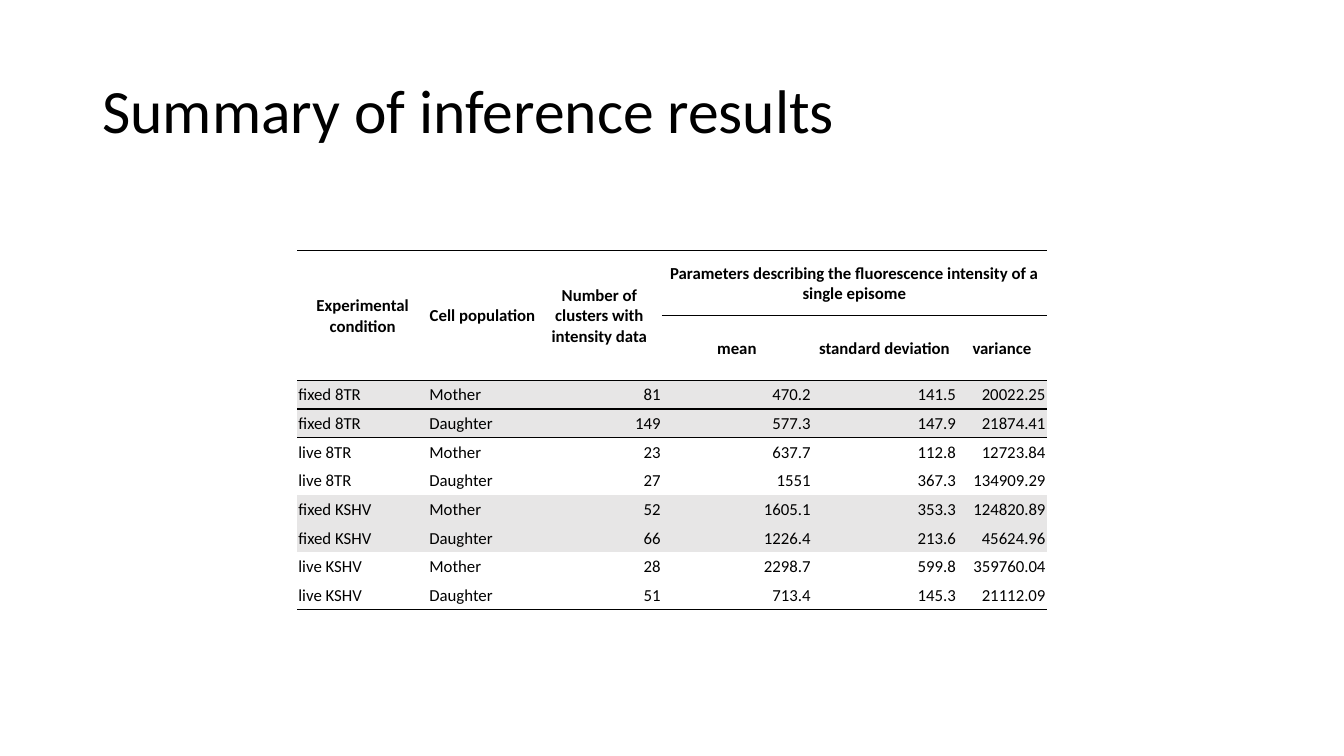
from lxml import etree
from pptx import Presentation
from pptx.dml.color import RGBColor
from pptx.enum.text import MSO_ANCHOR, PP_ALIGN
from pptx.oxml.ns import qn
from pptx.util import Cm, Pt

MIDDLE = MSO_ANCHOR.MIDDLE
LEFT, CENTER, RIGHT = PP_ALIGN.LEFT, PP_ALIGN.CENTER, PP_ALIGN.RIGHT

COLORS = {"text": "000000", "rule": "000000", "band": "E7E6E6"}
FONT = "Calibri"
PLAIN_TABLE_STYLE = "{2D5ABB26-0587-4C30-8999-92F81FD0307C}"

TITLE_BOX = (2.33, 1.02, 29.21, 3.68)
TABLE_BOX = (7.49, 6.32, 18.89, 9.04)
COLUMN_WIDTHS = (3.3, 2.74, 3.15, 3.78, 3.66, 2.26)
HEADER_HEIGHT = 1.63
HEADER_ROWS = 2
SPANNED_COLUMNS = 3
THIN, THICK = 1, 1.5

ROWS = [
    ("Experimental condition", "Cell population",
     "Number of clusters with intensity data",
     "Parameters describing the fluorescence intensity of a single episome", "", ""),
    ("", "", "", "mean", "standard deviation", "variance"),
    ("fixed 8TR", "Mother", "81", "470.2", "141.5", "20022.25"),
    ("fixed 8TR", "Daughter", "149", "577.3", "147.9", "21874.41"),
    ("live 8TR", "Mother", "23", "637.7", "112.8", "12723.84"),
    ("live 8TR", "Daughter", "27", "1551", "367.3", "134909.29"),
    ("fixed KSHV", "Mother", "52", "1605.1", "353.3", "124820.89"),
    ("fixed KSHV", "Daughter", "66", "1226.4", "213.6", "45624.96"),
    ("live KSHV", "Mother", "28", "2298.7", "599.8", "359760.04"),
    ("live KSHV", "Daughter", "51", "713.4", "145.3", "21112.09"),
]


def add_run(paragraph, text, size, bold=False):
    run = paragraph.add_run()
    run.text = text
    run.font.name = FONT
    run.font.size = Pt(size)
    run.font.bold = bold
    run.font.color.rgb = RGBColor.from_string(COLORS["text"])


def add_title(slide, box):
    shape = slide.shapes.add_textbox(*map(Cm, box))
    frame = shape.text_frame
    frame.word_wrap = True
    frame.vertical_anchor = MIDDLE
    paragraph = frame.paragraphs[0]
    paragraph.line_spacing = 0.9
    add_run(paragraph, "Summary of inference results", 44)


def add_border(cell, side, width):
    """Rule one side of a cell: "lnT" for the top, "lnB" for the bottom."""
    properties = cell._tc.get_or_add_tcPr()
    line = etree.SubElement(properties, qn(f"a:{side}"), w=str(Pt(width)))
    fill = etree.SubElement(line, qn("a:solidFill"))
    etree.SubElement(fill, qn("a:srgbClr"), val=COLORS["rule"])


def rule_cell(cell, row, column):
    """Rule the header, the line under the first data row and the table's foot."""
    first_data, last = HEADER_ROWS, len(ROWS) - 1
    below_span = row == 1 and column < SPANNED_COLUMNS
    if row <= first_data and not below_span:
        add_border(cell, "lnT", THIN)
    elif row == first_data + 1:
        add_border(cell, "lnT", THICK)
    if row < first_data or row == last:
        add_border(cell, "lnB", THIN)
    elif row == first_data:
        add_border(cell, "lnB", THICK)


def fill_cell(cell, text, row, column):
    is_header = row < HEADER_ROWS
    cell.margin_left = cell.margin_right = cell.margin_top = Cm(0.03)
    cell.margin_bottom = Cm(0)
    cell.vertical_anchor = MIDDLE
    rule_cell(cell, row, column)
    if not is_header and text and ROWS[row][0].startswith("fixed"):
        cell.fill.solid()
        cell.fill.fore_color.rgb = RGBColor.from_string(COLORS["band"])
    else:
        cell.fill.background()
    if text:
        paragraph = cell.text_frame.paragraphs[0]
        body_alignment = LEFT if column < 2 else RIGHT
        paragraph.alignment = CENTER if is_header else body_alignment
        add_run(paragraph, text, 12, bold=is_header)


def add_results_table(slide, box):
    frame = slide.shapes.add_table(len(ROWS), len(COLUMN_WIDTHS), *map(Cm, box))
    table = frame.table
    table.first_row = table.horz_banding = False
    table._tbl.tblPr.find(qn("a:tableStyleId")).text = PLAIN_TABLE_STYLE

    for column, width in zip(table.columns, COLUMN_WIDTHS):
        column.width = Cm(width)
    body_height = (box[3] - HEADER_ROWS * HEADER_HEIGHT) / (len(ROWS) - HEADER_ROWS)
    for index, row in enumerate(table.rows):
        row.height = Cm(HEADER_HEIGHT if index < HEADER_ROWS else body_height)

    for column in range(SPANNED_COLUMNS):
        table.cell(0, column).merge(table.cell(1, column))
    table.cell(0, SPANNED_COLUMNS).merge(table.cell(0, len(COLUMN_WIDTHS) - 1))

    for row, texts in enumerate(ROWS):
        for column, text in enumerate(texts):
            fill_cell(table.cell(row, column), text, row, column)


def main():
    presentation = Presentation()
    presentation.slide_width, presentation.slide_height = Cm(33.87), Cm(19.05)
    slide = presentation.slides.add_slide(presentation.slide_layouts[6])
    add_title(slide, TITLE_BOX)
    add_results_table(slide, TABLE_BOX)
    presentation.save("out.pptx")


if __name__ == "__main__":
    main()
